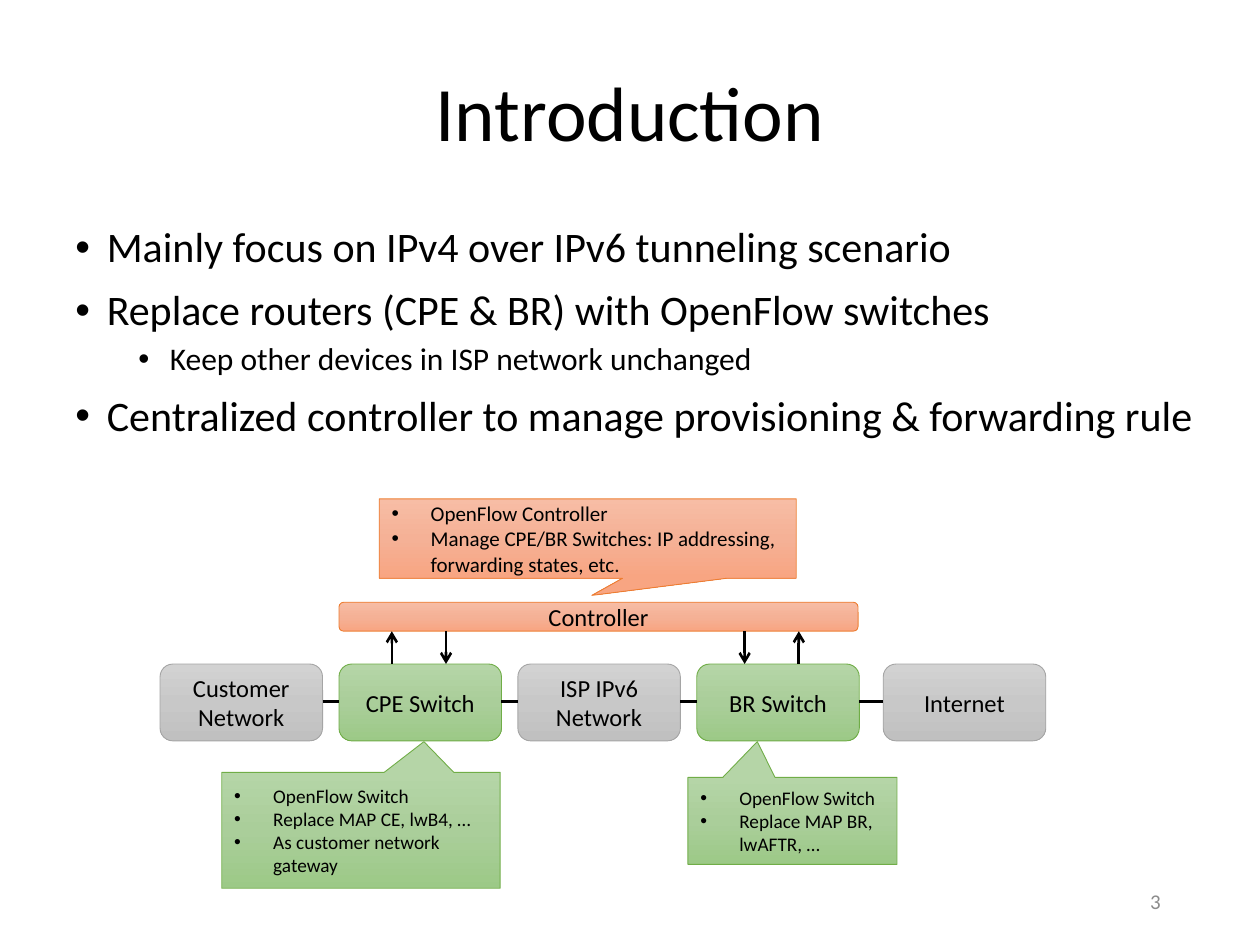
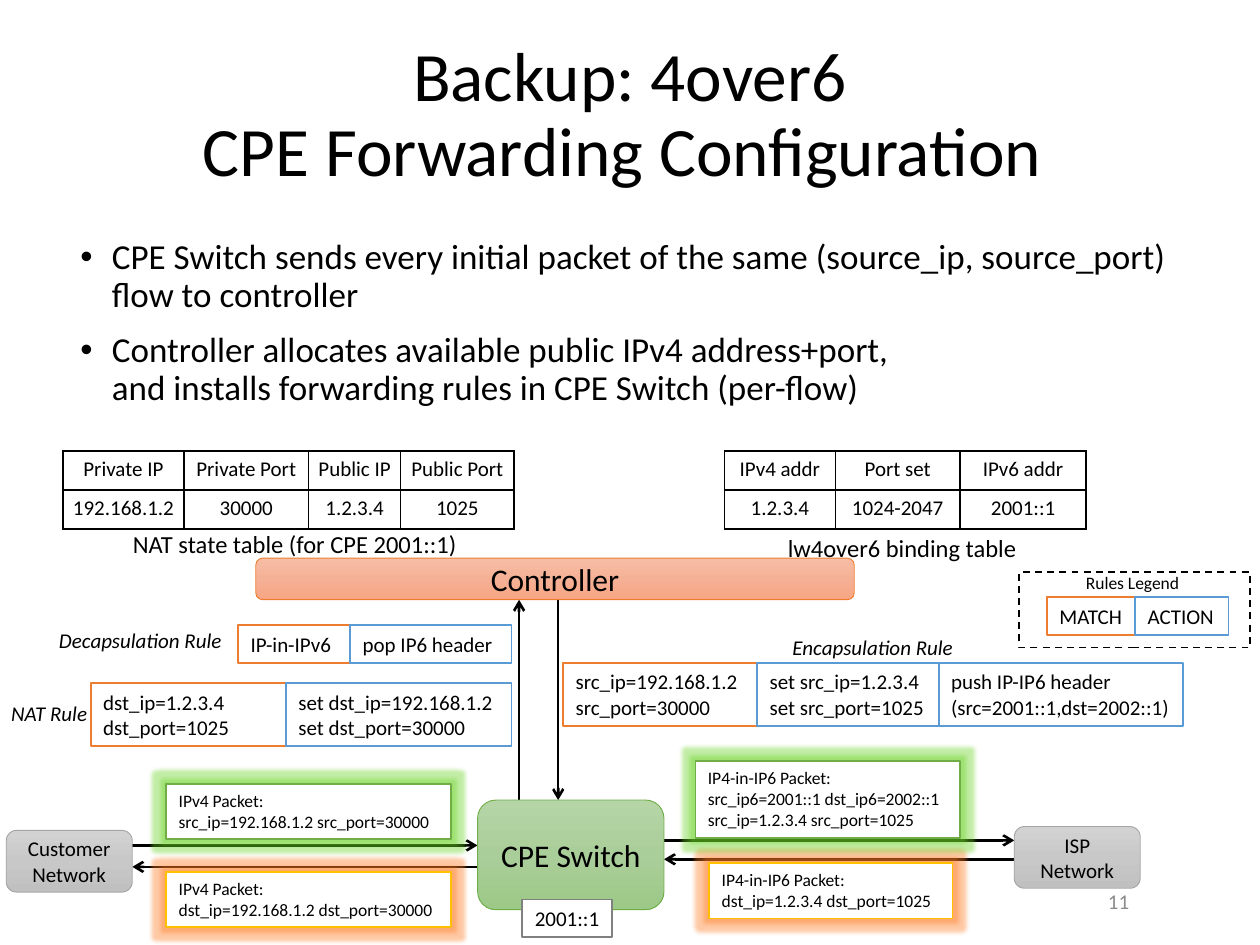
from copy import deepcopy
from itertools import pairwise
from lxml.etree import SubElement
from pptx import Presentation
from pptx.dml.color import RGBColor
from pptx.enum.dml import MSO_LINE
from pptx.enum.shapes import MSO_CONNECTOR, MSO_SHAPE
from pptx.enum.text import MSO_ANCHOR, PP_ALIGN
from pptx.oxml.ns import qn
from pptx.util import Inches, Pt

COLORS = {"text": "000000", "number": "8C8C8C", "paper": "FFFFFF", "green": "70AD47",
          "gray": "A5A5A5", "orange": "ED7D31", "blue": "5B9BD5", "gold": "FFC000",
          "address": "808080"}
GRADIENTS = {"green": ("B5D5A7", "AACE9A", "9CC987"),
             "gray": ("D2D2D2", "C8C8C8", "C0C0C0"),
             "orange": ("F7BDA5", "F5B196", "F8A582")}
FONT = "Calibri"
LEFT, CENTER, RIGHT = PP_ALIGN.LEFT, PP_ALIGN.CENTER, PP_ALIGN.RIGHT
TOP, MIDDLE = MSO_ANCHOR.TOP, MSO_ANCHOR.MIDDLE


def rgb(name):
    """Return the named colour."""
    return RGBColor.from_string(COLORS[name])


def apply(target, values):
    """Set each attribute of the target from a dict."""
    for name, value in values.items():
        setattr(target, name, value)


def lengths(*values):
    """Convert numbers of inches to lengths."""
    return [Inches(value) for value in values]


def add_bullet(para, level_left, hang):
    """Give a paragraph a hanging bullet."""
    props = para._p.get_or_add_pPr()
    props.set("marL", str(Inches(level_left)))
    props.set("indent", str(-Inches(hang)))
    SubElement(props, qn("a:buFont")).set("typeface", "Arial")
    SubElement(props, qn("a:buChar")).set("char", "•")


def write(box, texts, size, align=LEFT, anchor=TOP, wrap=True, color="text",
          italic=None, hang=None, spacing=None):
    """Write one paragraph for each text into a shape."""
    frame = box.text_frame
    apply(frame, {"word_wrap": wrap, "vertical_anchor": anchor})
    for index, text in enumerate(texts):
        para = frame.add_paragraph() if index else frame.paragraphs[0]
        para.text = text
        apply(para, {"alignment": align, "line_spacing": spacing})
        for span in para.runs:
            apply(span.font, {"name": FONT, "size": Pt(size), "italic": italic})
            span.font.color.rgb = rgb(color)
        if hang:
            add_bullet(para, hang, hang)


def add_label(page, place, text, size, **options):
    """Add a text box with one paragraph."""
    write(page.shapes.add_textbox(*lengths(*place)), [text], size, **options)


def add_box(page, place, line, weight, kind=MSO_SHAPE.RECTANGLE):
    """Add an outlined shape without a shadow."""
    box = page.shapes.add_shape(kind, *lengths(*place))
    box.shadow.inherit = False
    box.line.color.rgb = rgb(line)
    box.line.width = Pt(weight)
    return box


def add_shaded(page, place, hue, kind=MSO_SHAPE.ROUNDED_RECTANGLE):
    """Add a shape with a vertical gradient of one hue."""
    box = add_box(page, place, hue, 0.5, kind)
    box.fill.gradient()
    box.fill.gradient_angle = 270
    stops = box._element.spPr.find(".//" + qn("a:gsLst"))
    stops.insert(1, deepcopy(stops[0]))
    stops[1].set("pos", "50000")
    for stop, color in zip(box.fill.gradient_stops, GRADIENTS[hue]):
        stop.color.rgb = RGBColor.from_string(color)
    return box


def add_node(page, place, hue, text, size):
    """Add a rounded device or network with a centred name."""
    write(add_shaded(page, place, hue), [text], size, align=CENTER, anchor=MIDDLE)


def add_callout(page, place, hue, tip, texts, size):
    """Add a bulleted callout that points at its device."""
    box = add_shaded(page, place, hue, MSO_SHAPE.RECTANGULAR_CALLOUT)
    for index, value in enumerate(tip):
        box.adjustments[index] = value
    write(box, texts, size, anchor=MIDDLE, hang=0.31)


def add_field(page, place, line, texts, size=12, align=LEFT):
    """Add a white outlined field with text."""
    box = add_box(page, place, line, 1)
    box.fill.solid()
    box.fill.fore_color.rgb = rgb("paper")
    write(box, texts, size, align=align)
    return box


def add_packet(page, place, line, halo, texts):
    """Add a packet field with a glowing halo."""
    box = add_field(page, place, line, texts, 10)
    effects = box._element.spPr.find(qn("a:effectLst"))
    glow = SubElement(effects, qn("a:glow"), rad=str(Pt(5)))
    color = SubElement(glow, qn("a:srgbClr"), val=COLORS[halo])
    SubElement(color, qn("a:satMod"), val="175000")
    SubElement(color, qn("a:alpha"), val="40000")


def add_line(page, start, end, arrow=True):
    """Draw a straight line, with an arrowhead at its end if wanted."""
    line = page.shapes.add_connector(MSO_CONNECTOR.STRAIGHT, *lengths(*start, *end))
    line.line.color.rgb = rgb("text")
    line.line.width = Pt(1.5)
    props = line._element.spPr
    if arrow:
        SubElement(props.find(qn("a:ln")), qn("a:tailEnd"), type="arrow")
    SubElement(props, qn("a:effectLst"))


def add_page(deck, title, size, number, number_left):
    """Add a title-only page with its title and page number."""
    page = deck.slides.add_slide(deck.slide_layouts[5])
    box = page.shapes.title
    apply(box, dict(zip(("left", "top", "width", "height"), lengths(0.5, 0.3, 9, 1.25))))
    write(box, [title], size, align=CENTER, anchor=MIDDLE, spacing=0.9)
    add_label(page, (number_left, 6.95, 2.25, 0.4), number, 12, align=RIGHT,
              anchor=MIDDLE, color="number")
    return page


def add_points(page, place, points, sizes):
    """Add the bulleted body from pairs of level and text."""
    box = page.shapes.add_textbox(*lengths(*place))
    write(box, [text for _, text in points], sizes[0], spacing=0.9)
    for para, (level, _) in zip(box.text_frame.paragraphs, points):
        apply(para, {"level": level, "space_before": Pt((10, 5)[level])})
        for span in para.runs:
            span.font.size = Pt(sizes[level])
        add_bullet(para, (0.25, 0.75)[level], 0.25)


def add_network(page, left, top):
    """Draw the chain of networks and switches under their controller."""
    width, height, step = 1.29, 0.61, 1.42
    nodes = [("gray", "Customer Network"), ("green", "CPE Switch"),
             ("gray", "ISP IPv6 Network"), ("green", "BR Switch"), ("gray", "Internet")]
    lefts = [left + step * index for index in range(4)] + [left + 5.74]
    row = top + 0.49
    for node_left, (hue, text) in zip(lefts, nodes):
        add_node(page, (node_left, row, width, height), hue, text, 14)
    for before, after in pairwise(lefts):
        add_line(page, (before + width, row + 0.3), (after, row + 0.3), arrow=False)
    add_node(page, (left + step, top, 4.12, 0.23), "orange", "Controller", 14)
    for offset, upward in ((1.84, True), (2.27, False), (4.64, False), (5.07, True)):
        ends = [(left + offset, row), (left + offset, top + 0.23)]
        add_line(page, *(ends if upward else reversed(ends)))


def add_callouts(page, left, top):
    """Explain the two switches and the controller."""
    add_callout(page, (left, top + 2.17, 2.21, 0.92), "green", (0.226, -0.765),
                ["OpenFlow Switch", "Replace MAP CE, lwB4, …",
                 "As customer network gateway"], 11)
    add_callout(page, (left + 3.7, top + 2.21, 1.66, 0.69), "green", (-0.168, -0.912),
                ["OpenFlow Switch", "Replace MAP BR, lwAFTR, …"], 11)
    add_callout(page, (left + 1.25, top, 3.31, 0.63), "orange", (0.01, 0.716),
                ["OpenFlow Controller",
                 "Manage CPE/BR Switches: IP addressing, forwarding states, etc."], 12)


def add_state_table(page, left, top, widths, rows, caption, caption_place):
    """Add a plain grid and its caption."""
    height = 0.31
    table = page.shapes.add_table(len(rows), len(widths), *lengths(
        left, top, sum(widths), height * len(rows))).table
    apply(table, {"first_row": False, "horz_banding": False})
    for column, width in zip(table.columns, widths):
        column.width = Inches(width)
    for line, texts in zip(table.rows, rows):
        line.height = Inches(height)
        for cell, text in zip(line.cells, texts):
            apply(cell, dict(zip(("margin_left", "margin_top", "margin_right",
                                  "margin_bottom"), lengths(0.06, 0.04, 0.06, 0.04))))
            para = cell.text_frame.paragraphs[0]
            apply(para, {"text": text, "alignment": CENTER})
            font = para.runs[0].font
            apply(font, {"name": FONT, "size": Pt(12), "bold": False})
            font.color.rgb = rgb("text")
            props = cell._tc.get_or_add_tcPr()
            for side in ("lnL", "lnR", "lnT", "lnB"):
                edge = SubElement(props, qn("a:" + side), w=str(Pt(1)))
                paint = SubElement(edge, qn("a:solidFill"))
                SubElement(paint, qn("a:srgbClr"), val=COLORS["text"])
            cell.fill.background()
    add_label(page, caption_place, caption, 14, align=CENTER, wrap=False)


def add_rule(page, left, top, height, fields):
    """Add a rule as a match field followed by its action fields."""
    for index, (width, texts) in enumerate(fields):
        add_field(page, (left, top, width, height), "blue" if index else "orange", texts)
        left += width


def add_rules(page, left, top):
    """Place the three forwarding rules and their names."""
    add_rule(page, left + 1.89, top, 0.3,
             [(0.89, ["IP-in-IPv6"]), (1.28, ["pop IP6 header"])])
    add_rule(page, left + 0.72, top + 0.46, 0.5,
             [(1.55, ["dst_ip=1.2.3.4\vdst_port=1025"]),
              (1.79, ["set dst_ip=192.168.1.2", "set dst_port=30000"])])
    add_rule(page, left + 4.47, top + 0.3, 0.5,
             [(1.54, ["src_ip=192.168.1.2\vsrc_port=30000"]),
              (1.44, ["set src_ip=1.2.3.4", "set src_port=1025"]),
              (1.94, ["push IP-IP6 header\v(src=2001::1,dst=2002::1)"])])
    for x, y, width, text in ((6.19, 0.03, 1.51, "Encapsulation Rule"),
                              (0.37, -0.03, 1.5, "Decapsulation Rule"),
                              (-0.01, 0.55, 0.81, "NAT Rule")):
        add_label(page, (left + x, top + y, width, 0.3), text, 12, wrap=False, italic=True)


def add_legend(page, left, top):
    """Show which outline marks a match and which an action."""
    frame = add_box(page, (left, top, 1.83, 0.6), "text", 1)
    frame.fill.background()
    frame.line.dash_style = MSO_LINE.DASH
    add_rule(page, left + 0.22, top + 0.2, 0.3, [(0.7, ["MATCH"]), (0.74, ["ACTION"])])
    add_label(page, (left + 0.43, top - 0.05, 0.95, 0.27), "Rules Legend", 10, wrap=False)


def add_traffic(page, left, top):
    """Draw the switch, its controller, its neighbours and the packets between them."""
    base = top + 1.92
    switch, isp = left + 3.74, left + 8
    for x, start, end in ((4.38, top + 0.33, base), (4.07, base, top + 0.33)):
        add_line(page, (left + x, start), (left + x, end))
    for y, start, end in ((0.36, left + 1, switch), (0.53, switch, left + 1),
                          (0.32, switch + 1.48, isp), (0.47, isp, switch + 1.48)):
        add_line(page, (start, base + y), (end, base + y))
    add_node(page, (left + 1.98, top, 4.75, 0.33), "orange", "Controller", 18)
    add_node(page, (switch, base, 1.48, 0.87), "green", "CPE Switch", 18)
    add_field(page, (left + 4.09, base + 0.79, 0.72, 0.3), "address", ["2001::1"],
              align=CENTER)
    add_node(page, (left, base + 0.24, 1, 0.49), "gray", "Customer Network", 12)
    add_node(page, (isp, base + 0.21, 1, 0.49), "gray", "ISP Network", 12)
    packets = [((1.27, -0.13, 2.26, 0.44), "green", "green",
                ["IPv4 Packet:\vsrc_ip=192.168.1.2 src_port=30000"]),
               ((5.58, 0.5, 1.93, 0.44), "gold", "orange",
                ["IP4-in-IP6 Packet: dst_ip=1.2.3.4 dst_port=1025"]),
               ((1.27, 0.57, 2.26, 0.44), "gold", "orange",
                ["IPv4 Packet:\vdst_ip=192.168.1.2 dst_port=30000"]),
               ((5.47, -0.31, 2.1, 0.61), "green", "green",
                ["IP4-in-IP6 Packet:",
                 "src_ip6=2001::1 dst_ip6=2002::1\vsrc_ip=1.2.3.4 src_port=1025"])]
    for (x, y, width, height), line, halo, texts in packets:
        add_packet(page, (left + x, base + y, width, height), line, halo, texts)


def build_introduction(deck):
    """Build the introduction page."""
    page = add_page(deck, "Introduction", 44, "3", 7.06)
    add_points(page, (0.5, 1.75, 9.3, 5.23), [
        (0, "Mainly focus on IPv4 over IPv6 tunneling scenario"),
        (0, "Replace routers (CPE & BR) with OpenFlow switches"),
        (1, "Keep other devices in ISP network unchanged"),
        (0, "Centralized controller to manage provisioning & forwarding rule")], (24, 18))
    add_network(page, 1.27, 4.78)
    add_callouts(page, 1.76, 3.96)


def build_forwarding(deck):
    """Build the page on the forwarding configuration."""
    page = add_page(deck, "Backup: 4over6\vCPE Forwarding Configuration ", 39.6, "11", 6.81)
    add_points(page, (0.54, 1.85, 9, 4.56), [
        (0, "CPE Switch sends every initial packet of the same "
            "(source_ip, source_port) flow to controller"),
        (0, "Controller allocates available public IPv4 address+port, \v"
            "and installs forwarding rules in CPE Switch (per-flow)")], (20, 18))
    add_traffic(page, 0.05, 4.43)
    add_state_table(page, 0.5, 3.58, (0.96, 0.99, 0.73, 0.9),
                    [("Private IP", "Private Port", "Public IP", "Public Port"),
                     ("192.168.1.2", "30000", "1.2.3.4", "1025")],
                    "NAT state table (for CPE 2001::1)", (0.95, 4.15, 2.78, 0.34))
    add_state_table(page, 5.75, 3.58, (0.88, 0.99, 1),
                    [("IPv4 addr", "Port set", "IPv6 addr"),
                     ("1.2.3.4", "1024-2047", "2001::1")],
                    "lw4over6 binding table", (6.14, 4.18, 2.04, 0.34))
    add_rules(page, 0, 4.96)
    add_legend(page, 8.09, 4.54)


deck = Presentation()
apply(deck, {"slide_width": Inches(10), "slide_height": Inches(7.5)})
build_introduction(deck)
build_forwarding(deck)
deck.save("out.pptx")
